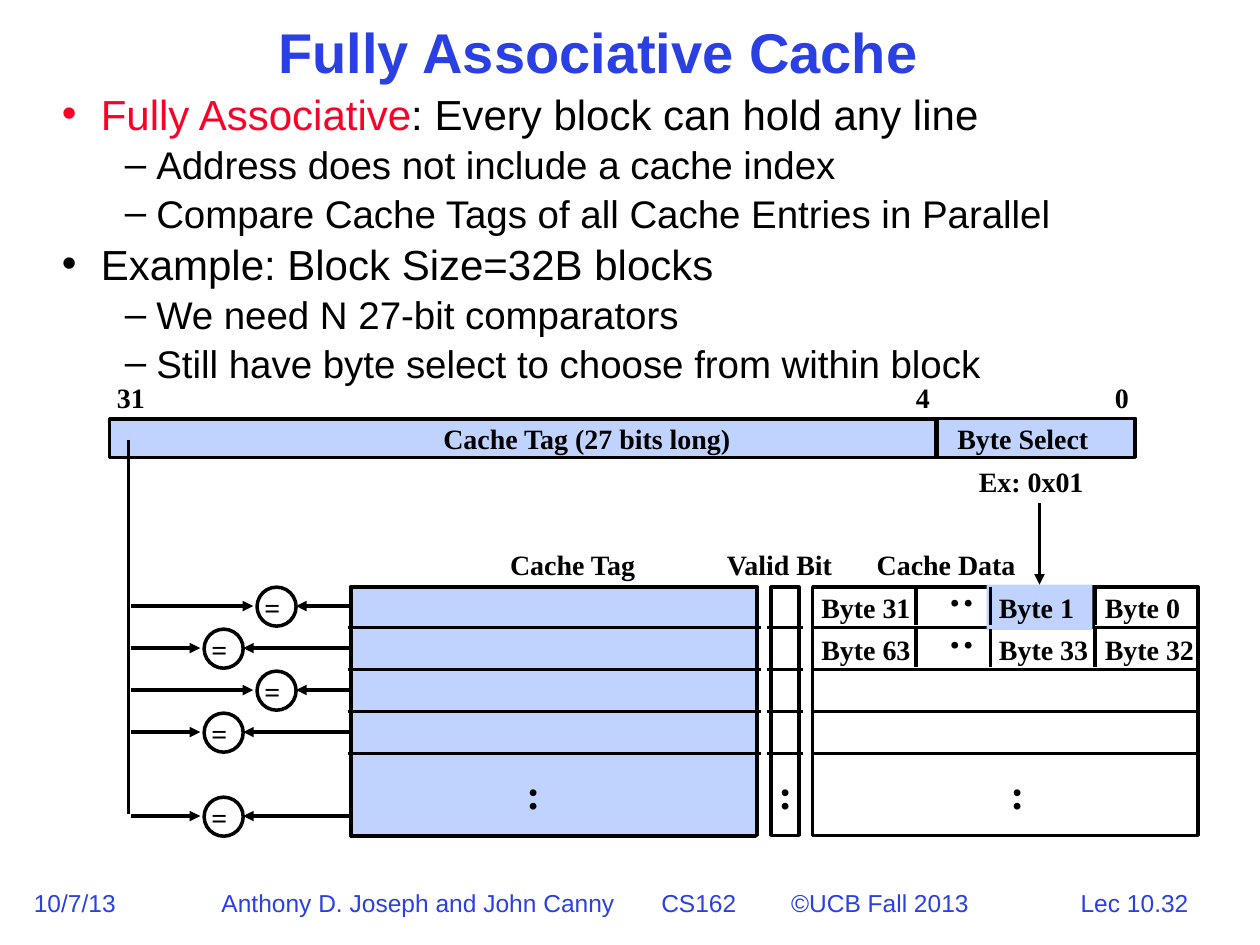
import pptx
import pptx.util
import pptx.oxml
import pptx.oxml.ns
from pptx.dml.color import RGBColor
from pptx.enum.shapes import MSO_CONNECTOR, MSO_SHAPE
from pptx.enum.text import MSO_ANCHOR, MSO_AUTO_SIZE, PP_ALIGN
from pptx.util import Inches, Pt

COLORS = {"blue": "2A40E2", "red": "FC0128", "black": "000000",
          "light": "C0D2FE", "pink": "FF66CC"}
ROW = 1 / 3  # height of a cache row

presentation = pptx.Presentation()
presentation.slide_width = Inches(10)
presentation.slide_height = Inches(7.5)
slide = presentation.slides.add_slide(presentation.slide_layouts[1])
shapes = slide.shapes
qn = pptx.oxml.ns.qn


def add_label(text, left, top, width, height=0.36, size=16,
              font="Times New Roman", color="black", bold=True):
    label = shapes.add_textbox(Inches(left), Inches(top), Inches(width), Inches(height))
    label.text_frame.word_wrap = False
    run = label.text_frame.paragraphs[0].add_run()
    run.text = text
    run.font.name = font
    run.font.size = Pt(size)
    run.font.bold = bold
    run.font.color.rgb = RGBColor.from_string(COLORS[color])
    return label


def add_line(x1, y1, x2, y2, arrow=False):
    line = shapes.add_connector(MSO_CONNECTOR.STRAIGHT, Inches(x1), Inches(y1),
                                Inches(x2), Inches(y2))
    line.line.color.rgb = RGBColor.from_string(COLORS["black"])
    line.line.width = Pt(2)
    if arrow:
        outline = line.line._get_or_add_ln()
        outline.append(pptx.oxml.parse_xml(
            '<a:tailEnd xmlns:a="http://schemas.openxmlformats.org/drawingml/2006/main" type="triangle"/>'))
    properties = line._element.spPr
    properties.append(properties.makeelement(qn("a:effectLst"), {}))
    return line


# Footer
footer = {"font": "Arial", "size": 14, "color": "blue", "bold": False, "height": 0.33}
add_label("10/7/13", 0.17, 7, 0.95, **footer)
course = add_label("Anthony D. Joseph and John Canny\tCS162\t©UCB Fall 2013",
                   1.66, 7, 6.14, **footer)
properties = course.text_frame.paragraphs[0]._p.get_or_add_pPr()
tabs = properties.makeelement(qn("a:tabLst"), {})
for position in (3.49, 4.52):
    tabs.append(tabs.makeelement(qn("a:tab"), {"pos": str(Inches(position)), "algn": "l"}))
properties.append(tabs)
lecture = add_label("Lec 10.32", 8.14, 7, 1.73, **footer)
lecture.text_frame.paragraphs[0].alignment = PP_ALIGN.CENTER

# Title and bullet list
title, body = shapes.title, slide.placeholders[1]
for placeholder, left, top, width, height in ((title, 2.11, 0.17, 5.28, 0.55),
                                              (body, 0.42, 0.75, 9.25, 2.68)):
    placeholder.left, placeholder.top = Inches(left), Inches(top)
    placeholder.width, placeholder.height = Inches(width), Inches(height)
    frame = placeholder.text_frame
    frame.margin_left = frame.margin_right = Inches(0.07)
    frame.margin_top = frame.margin_bottom = Inches(0.03)
    frame.vertical_anchor = MSO_ANCHOR.TOP
    frame.auto_size = MSO_AUTO_SIZE.NONE
    frame.word_wrap = True

paragraph = title.text_frame.paragraphs[0]
paragraph.alignment = PP_ALIGN.CENTER
paragraph.line_spacing = 0.9
run = paragraph.add_run()
run.text = "Fully Associative Cache"
run.font.name, run.font.size, run.font.bold = "Arial", Pt(32), True
run.font.color.rgb = RGBColor.from_string(COLORS["blue"])

bullets = [
    (0, [("Fully Associative", "red"), (": Every block can hold any line", "black")]),
    (1, [("Address does not include a cache index", "black")]),
    (1, [("Compare Cache Tags of all Cache Entries in Parallel", "black")]),
    (0, [("Example: Block Size=32B blocks", "black")]),
    (1, [("We need N 27-bit comparators", "black")]),
    (1, [("Still have byte select to choose from within block", "black")]),
]
levels = [(24, "•", 0.31, -0.31), (22, "–", 0.75, -0.25)]
for index, (level, runs) in enumerate(bullets):
    size, bullet, margin, indent = levels[level]
    frame = body.text_frame
    paragraph = frame.add_paragraph() if index else frame.paragraphs[0]
    paragraph.level = level
    paragraph.line_spacing = 0.8
    paragraph.space_before = Pt(size * 0.3)
    properties = paragraph._p.get_or_add_pPr()
    properties.set("marL", str(Inches(margin)))
    properties.set("indent", str(Inches(indent)))
    bullet_color = properties.makeelement(qn("a:buClr"), {})
    bullet_color.append(bullet_color.makeelement(qn("a:srgbClr"), {"val": COLORS[runs[0][1]]}))
    properties.append(bullet_color)
    properties.append(properties.makeelement(qn("a:buChar"), {"char": bullet}))
    for text, color in runs:
        run = paragraph.add_run()
        run.text = text
        run.font.name, run.font.size = "Arial", Pt(size)
        run.font.color.rgb = RGBColor.from_string(COLORS[color])

# Boxes of the address and the cache, then the comparator circles
boxes = [
    (2.78, 4.65, 3.22, 1.99, "light", 1.5),
    (7.85, 4.66, 0.83, 0.31, "pink", 1.5),
    (7.43, 3.32, 1.57, 0.31, "light", 1.5),
    (0.87, 3.33, 6.55, 0.3, "light", 1.5),
    (6.45, 4.66, 3.06, 1.97, None, 2),
    (6.12, 4.66, 0.22, 1.97, None, 2),
    (2.79, 4.66, 3.22, 1.97, None, 2),
    (0.87, 3.32, 8.14, 0.31, None, 2),
]
comparators = [(2.04, 0), (1.62, 1), (2.04, 2), (1.62, 3), (1.62, 5)]
outlines = [(MSO_SHAPE.RECTANGLE, *box) for box in boxes]
outlines += [(MSO_SHAPE.OVAL, left, 4.66 + row * ROW, 0.31, 0.31, None, 2)
             for left, row in comparators]
for kind, left, top, width, height, fill, weight in outlines:
    shape = shapes.add_shape(kind, Inches(left), Inches(top), Inches(width), Inches(height))
    shape.shadow.inherit = False
    if fill:
        shape.fill.solid()
        shape.fill.fore_color.rgb = RGBColor.from_string(COLORS[fill])
    else:
        shape.fill.background()
    shape.line.color.rgb = RGBColor.from_string(COLORS["black"])
    shape.line.width = Pt(weight)

# Address labels
for text, left, top, width in (("31", 0.83, 2.97, 0.42), ("4", 7.17, 2.97, 0.31),
                               ("0", 8.75, 2.97, 0.31),
                               ("Cache Tag (27 bits long)", 3.42, 3.3, 2.5),
                               ("Byte Select", 7.5, 3.3, 1.24),
                               ("Ex: 0x01", 7.67, 3.64, 1.03)):
    add_label(text, left, top, width)
add_line(7.44, 3.32, 7.44, 3.63)

# Cache columns: heading, row lines and continuation dots
for text, heading, width, left, right, dots in (
        ("Cache Tag", 3.95, 1.21, 2.76, 6.04, 4.08),
        ("Valid Bit", 5.67, 1.05, 6.09, 6.37, 6.08),
        ("Cache Data", 6.86, 1.3, 6.45, 9.51, 7.92)):
    add_label(text, heading, 4.3, width)
    for row in range(4):
        add_line(left, 4.98 + row * ROW, right, 4.98 + row * ROW)
    add_label(":", dots, 6.04, 0.31, 0.5, 24)

# Bytes in the first two cache rows
for row, names in enumerate((("Byte 31", "Byte 1", "Byte 0"),
                             ("Byte 63", "Byte 33", "Byte 32"))):
    offset = row * ROW
    for text, left, divider in zip(names, (6.42, 7.83, 8.67), (7.27, 7.86, 8.69)):
        label = add_label(text, left, 4.64 + offset, 0.84 if text == "Byte 1" else 0.91)
        if text == "Byte 1":
            label.text_frame.word_wrap = True
            label.fill.solid()
            label.fill.fore_color.rgb = RGBColor.from_string(COLORS["light"])
            selected_byte = label
        add_line(divider, 4.66 + offset, divider, 4.96 + offset)
    ellipsis = add_label(":", 7.42, 4.54 + offset, 0.31, 0.5, 24)
    ellipsis.rotation = 270

# Byte select arrow
arrow = add_line(8.25, 3.99, 8.25, 4.64, arrow=True)
arrow.end_connect(selected_byte, 0)

# Comparators fed by the address tag and the stored tags
add_line(1.02, 3.49, 1.02, 6.46)
for left, row in comparators:
    middle = 4.81 + row * ROW
    add_label("=", left - 0.04, 4.64 + row * ROW, 0.32)
    add_line(1.04, middle, left - 0.03, middle, arrow=True)
    add_line(2.79, middle, left + 0.31, middle, arrow=True)

presentation.save("out.pptx")
